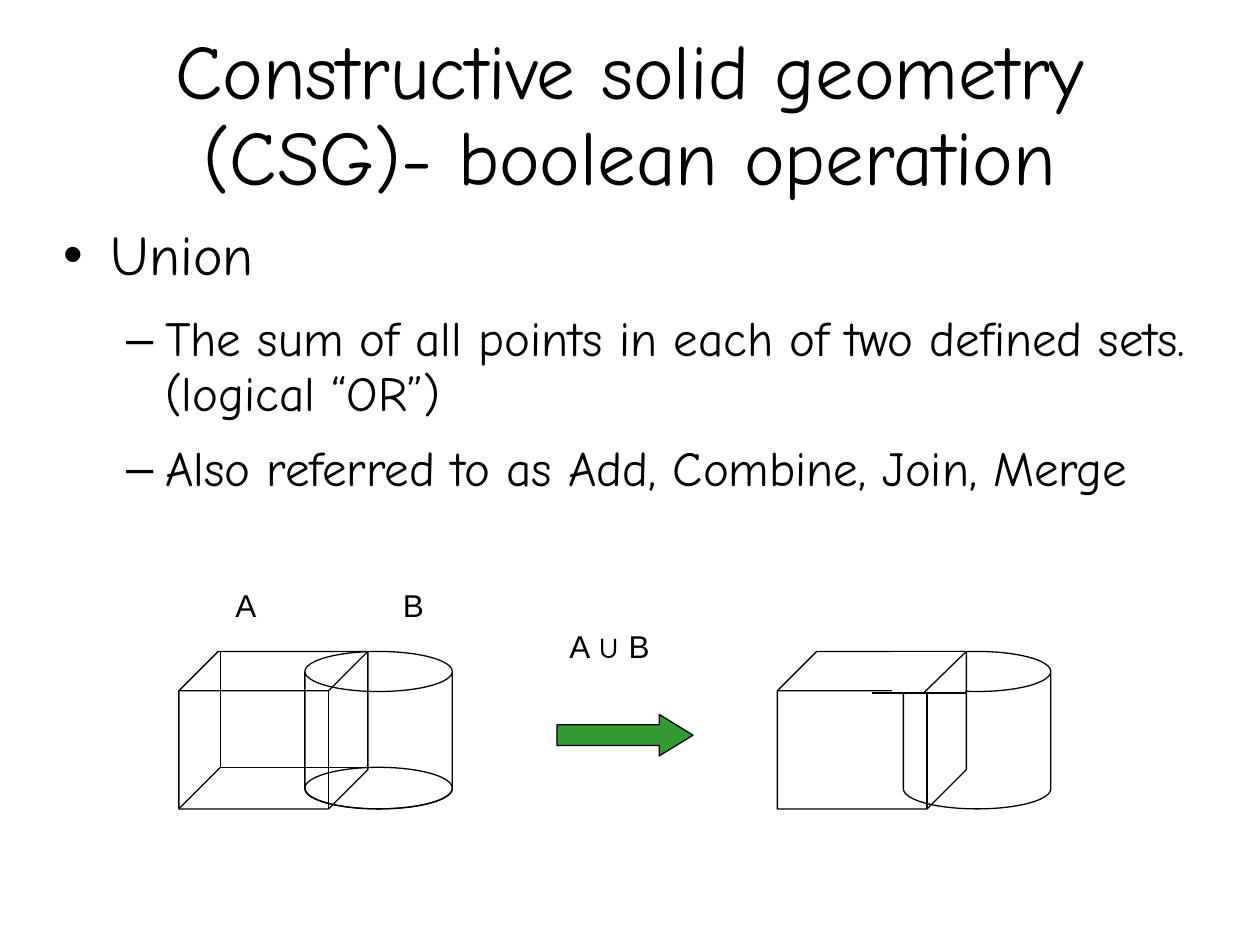
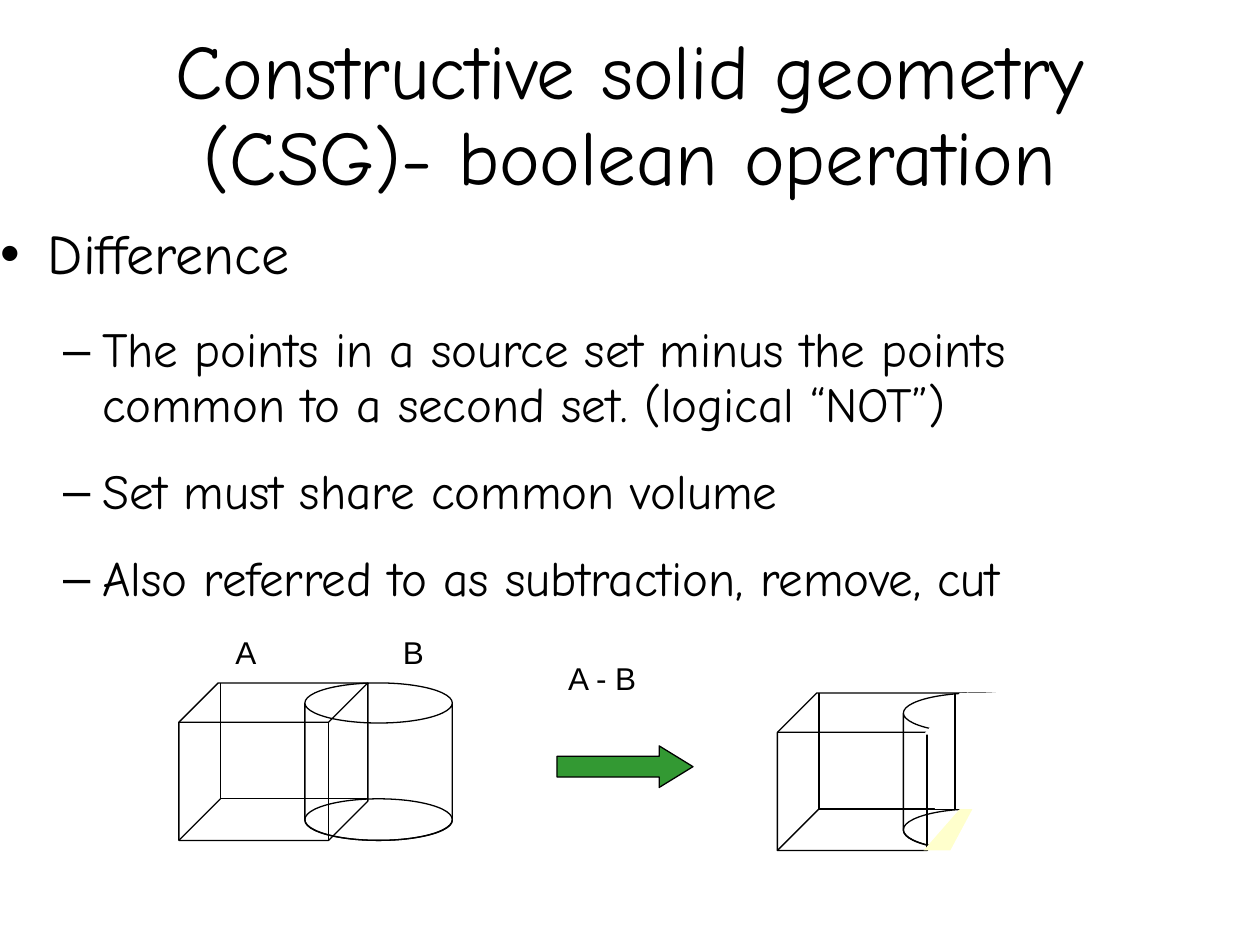
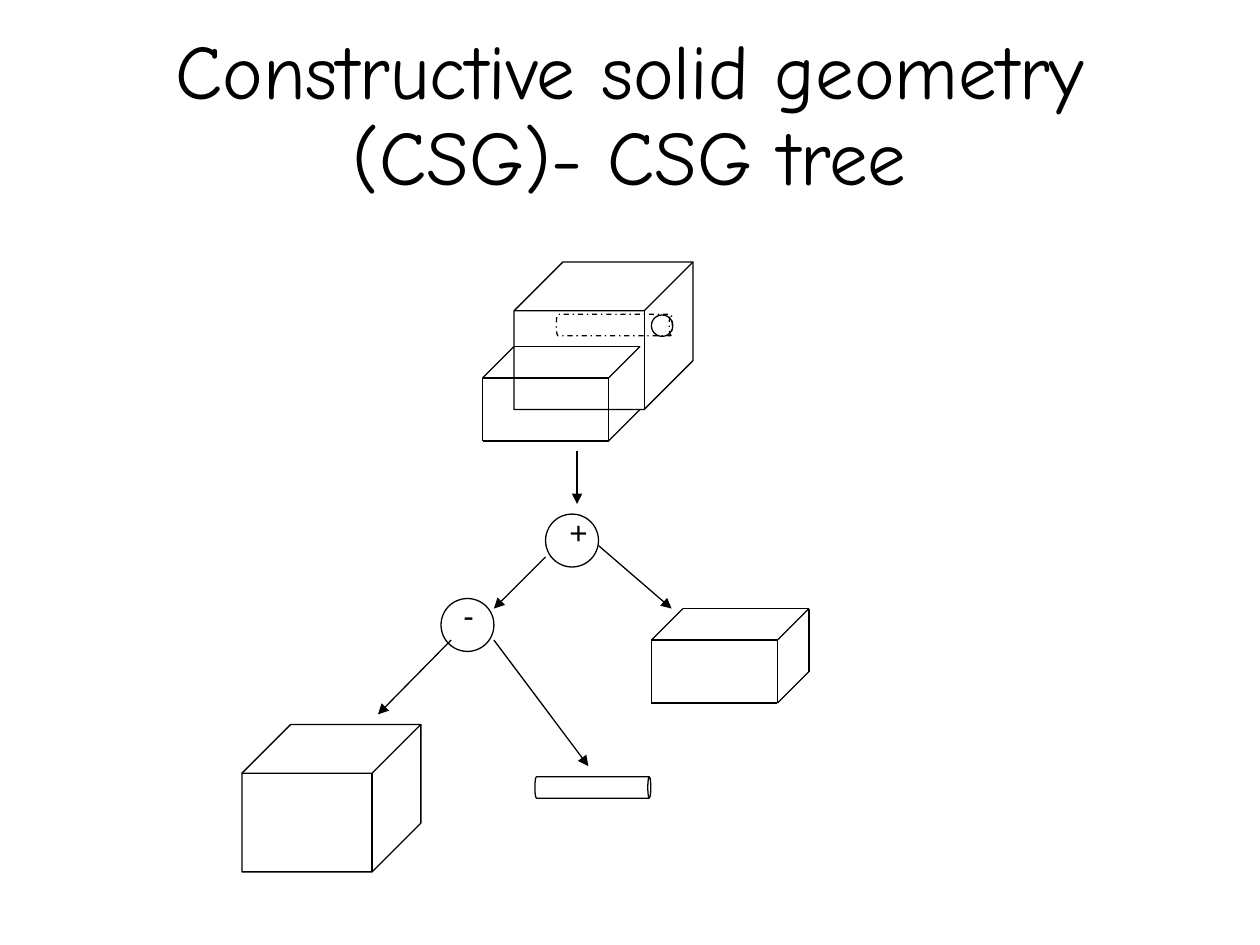
from lxml import etree
from pptx import Presentation
from pptx.dml.color import RGBColor
from pptx.enum import dml, shapes, text
from pptx.oxml import ns
from pptx.util import Inches, Pt

BLACK = RGBColor(0x00, 0x00, 0x00)
WHITE = RGBColor(0xFF, 0xFF, 0xFF)
GREEN = RGBColor(0x33, 0x99, 0x33)
CREAM = RGBColor(0xFF, 0xFF, 0xCC)
HEADING_FONT = "Comic Neue"
LABEL_FONT = "Arial"
LINE_SPACING = 0.93
LINE_WIDTH = Pt(0.75)
TITLE_AND_BODY, TITLE_ONLY = 1, 5
BULLETS = [("•", 0.38, 0.38, 32, 14.3), ("–", 0.81, 0.31, 28, 11.4)]
PRESET = shapes.MSO_SHAPE
SOLID_HEIGHT = 1.25
DEPTH = 0.33
CAN_OFFSET = 1
CAN_WIDTH = 1.17


def place(shape, left, top, width, height):
    shape.left, shape.top = Inches(left), Inches(top)
    shape.width, shape.height = Inches(width), Inches(height)


def set_margins(frame, side, top, bottom):
    frame.margin_left = frame.margin_right = Inches(side)
    frame.margin_top, frame.margin_bottom = Inches(top), Inches(bottom)


def style_paragraph(paragraph, font_name, size):
    paragraph.line_spacing = LINE_SPACING
    paragraph.font.name = font_name
    paragraph.font.size = Pt(size)
    paragraph.font.color.rgb = BLACK


def add_titled_slide(deck, layout, heading):
    slide = deck.slides.add_slide(deck.slide_layouts[layout])
    title = slide.shapes.title
    place(title, 0.5, 0.3, 9, 1.25)
    frame = title.text_frame
    frame.text = heading
    frame.word_wrap = True
    frame.auto_size = text.MSO_AUTO_SIZE.NONE
    frame.vertical_anchor = text.MSO_ANCHOR.MIDDLE
    set_margins(frame, 0, 0, 0)
    frame.paragraphs[0].alignment = text.PP_ALIGN.CENTER
    style_paragraph(frame.paragraphs[0], HEADING_FONT, 44)
    return slide


def set_bullet(paragraph, symbol, indent, hanging):
    properties = paragraph._p.get_or_add_pPr()
    properties.set("marL", str(Inches(indent)))
    properties.set("indent", str(-Inches(hanging)))
    colour = etree.SubElement(properties, ns.qn("a:buClr"))
    etree.SubElement(colour, ns.qn("a:srgbClr"), val=str(BLACK))
    etree.SubElement(properties, ns.qn("a:buFont"), typeface=LABEL_FONT)
    etree.SubElement(properties, ns.qn("a:buChar"), char=symbol)


def fill_body(slide, left, top, width, operation, facts, space_before):
    body = slide.placeholders[1]
    place(body, left, top, width, 4.95)
    frame = body.text_frame
    frame.text = "\n".join([operation, *facts])
    frame.word_wrap = True
    frame.auto_size = text.MSO_AUTO_SIZE.NONE
    set_margins(frame, 0, 0.03, 0)
    for index, paragraph in enumerate(frame.paragraphs):
        paragraph.level = min(index, 1)
        symbol, indent, hanging, size, space_after = BULLETS[paragraph.level]
        set_bullet(paragraph, symbol, indent, hanging)
        paragraph.space_before = Pt(space_before if index else 0)
        paragraph.space_after = Pt(space_after)
        style_paragraph(paragraph, HEADING_FONT, size)


def add_label(slide, left, top, width, wording):
    label = slide.shapes.add_textbox(
        Inches(left), Inches(top), Inches(width), Inches(0.38))
    frame = label.text_frame
    frame.text = wording
    frame.word_wrap = False
    frame.auto_size = text.MSO_AUTO_SIZE.SHAPE_TO_FIT_TEXT
    set_margins(frame, 0.1, 0.05, 0.05)
    style_paragraph(frame.paragraphs[0], LABEL_FONT, 18)


def add_preset(slide, preset, left, top, width, height,
               adjustments=(), fill=None, outlined=True):
    shape = slide.shapes.add_shape(
        preset, Inches(left), Inches(top), Inches(width), Inches(height))
    shape.shadow.inherit = False
    for index, value in enumerate(adjustments):
        shape.adjustments[index] = value
    if fill is None:
        shape.fill.background()
    else:
        shape.fill.solid()
        shape.fill.fore_color.rgb = fill
    if outlined:
        shape.line.color.rgb = BLACK
        shape.line.width = LINE_WIDTH
    else:
        shape.line.fill.background()
    return shape


def add_mask(slide, preset, left, top, width, height, adjustments=(), fill=WHITE):
    add_preset(slide, preset, left, top, width, height, adjustments, fill, False)


def add_line(slide, start, end, arrow=False):
    line = slide.shapes.add_connector(
        shapes.MSO_CONNECTOR.STRAIGHT,
        *(Inches(value) for value in (*start, *end)))
    line.line.color.rgb = BLACK
    line.line.width = LINE_WIDTH
    if arrow:
        etree.SubElement(line.line._get_or_add_ln(), ns.qn("a:tailEnd"), type="triangle")
    etree.SubElement(line._element.spPr, ns.qn("a:effectLst"))


def add_cube_and_can(slide, left, top):
    add_preset(slide, PRESET.CUBE, left, top, 1.5, SOLID_HEIGHT, [0.25])
    add_preset(slide, PRESET.CAN, left + CAN_OFFSET, top, CAN_WIDTH, SOLID_HEIGHT, [0.272])


def add_wireframe(slide, left, top):
    add_cube_and_can(slide, left, top)
    base = top + SOLID_HEIGHT - DEPTH
    hidden_corner = (left + DEPTH, base)
    for end in [(left + DEPTH, top), (left, top + SOLID_HEIGHT), (left + 1.5, base)]:
        add_line(slide, hidden_corner, end)
    add_preset(slide, PRESET.OVAL, left + CAN_OFFSET, base, CAN_WIDTH, DEPTH)


def add_operands(slide, top, label_top):
    add_wireframe(slide, 1.42, top)
    add_preset(slide, PRESET.RIGHT_ARROW, 4.42, top + 0.5, 1.08, DEPTH, [0.5, 0.813], GREEN)
    add_label(slide, 1.77, label_top, 0.36, "A")
    add_label(slide, 3.1, label_top, 0.36, "B")


def add_union_result(slide, left, top):
    add_cube_and_can(slide, left, top)
    add_mask(slide, PRESET.RECTANGLE, 7.08, top, 0.58, DEPTH)
    front = top + DEPTH
    add_line(slide, (7, top), (7.75, top))
    add_line(slide, (6.92, front), (7.67, front))
    add_line(slide, (7.33, front), (7.67, top))


def add_difference_result(slide, left, top):
    add_wireframe(slide, left, top)
    base = top + SOLID_HEIGHT - DEPTH
    for face_top, colour in [(top, WHITE), (base, CREAM)]:
        add_mask(slide, PRESET.PARALLELOGRAM, 7.33, face_top, 1.17, DEPTH, [0.876], colour)
    add_mask(slide, PRESET.RECTANGLE, 7.42, 5.67, 1.08, 0.75)
    add_mask(slide, PRESET.PARALLELOGRAM, 7.5, 6.25, 1.25, 0.58, [0.536])
    add_line(slide, (7.58, top), (7.58, base))


def add_block(slide, left, top, back_edge=False):
    width, height, depth = 1, 0.5, 0.25
    right, bottom = left + width, top + height
    back_left, back_right, back_top = left + depth, right + depth, top - depth
    edges = [
        ((back_right, back_top), (right, top)),
        ((back_right, back_top + height), (right, bottom)),
        ((back_left, back_top), (back_right, back_top)),
        ((left, top), (right, top)),
        ((left, bottom), (right, bottom)),
        ((back_left, back_top), (left, top)),
        ((left, top), (left, bottom)),
        ((right, top), (right, bottom)),
    ]
    if back_edge:
        edges.append(((back_right, back_top), (back_right, back_top + height)))
    for start, end in edges:
        add_line(slide, start, end)


def add_large_cube(slide, left, top):
    add_preset(slide, PRESET.CUBE, left, top, 1.42, 1.17, [0.331])


def add_rod(slide, left, top):
    rod = add_preset(slide, PRESET.CAN, left, top, 0.17, 0.92, [0.14])
    rod.rotation = 90
    return rod


def add_operator(slide, left, top, symbol, label_left, label_top, label_width):
    add_label(slide, label_left, label_top, label_width, symbol)
    add_preset(slide, PRESET.OVAL, left, top, 0.42, 0.42)


def add_csg_tree(slide):
    add_large_cube(slide, 4.08, 2.08)
    add_block(slide, 3.83, 3)
    add_rod(slide, 4.79, 2.12).line.dash_style = dml.MSO_LINE.DASH_DOT
    add_preset(slide, PRESET.OVAL, 5.17, 2.5, 0.17, 0.17)

    add_operator(slide, 4.33, 4.08, "+", 4.42, 4.05, 0.34)
    add_operator(slide, 3.5, 4.75, "-", 3.58, 4.71, 0.28)
    add_large_cube(slide, 1.92, 5.75)
    add_rod(slide, 4.62, 5.79)
    add_block(slide, 5.17, 5.08, back_edge=True)

    branches = [
        ((4.58, 3.58), (4.58, 4)),
        ((4.33, 4.42), (3.92, 4.83)),
        ((4.75, 4.33), (5.33, 4.83)),
        ((3.58, 5.08), (3, 5.67)),
        ((3.92, 5.08), (4.67, 6.08)),
    ]
    for start, end in branches:
        add_line(slide, start, end, arrow=True)


def main():
    deck = Presentation()
    deck.slide_width, deck.slide_height = Inches(10), Inches(7.5)
    topic = "Constructive solid geometry (CSG)- "

    union = add_titled_slide(deck, TITLE_AND_BODY, topic + "boolean operation")
    fill_body(union, 0.5, 1.76, 9, "Union", [
        "The sum of all points in each of two defined sets. (logical “OR”)",
        "Also referred to as Add, Combine, Join, Merge",
    ], 0)
    add_operands(union, 5.17, 4.63)
    add_label(union, 4.42, 4.95, 0.87, "A ∪ B")
    add_union_result(union, 6.17, 5.17)

    difference = add_titled_slide(deck, TITLE_AND_BODY, topic + "boolean operation")
    fill_body(difference, 0, 1.75, 9.5, "Difference", [
        "The points in a source set minus the points common to a second set. (logical “NOT”)",
        "Set must share common volume",
        "Also referred to as subtraction, remove, cut",
    ], 7)
    add_operands(difference, 5.42, 5)
    add_label(difference, 4.41, 5.21, 0.75, "A - B")
    add_difference_result(difference, 6.17, 5.5)

    tree = add_titled_slide(deck, TITLE_ONLY, topic + "CSG tree")
    add_csg_tree(tree)

    deck.save("out.pptx")


if __name__ == "__main__":
    main()
